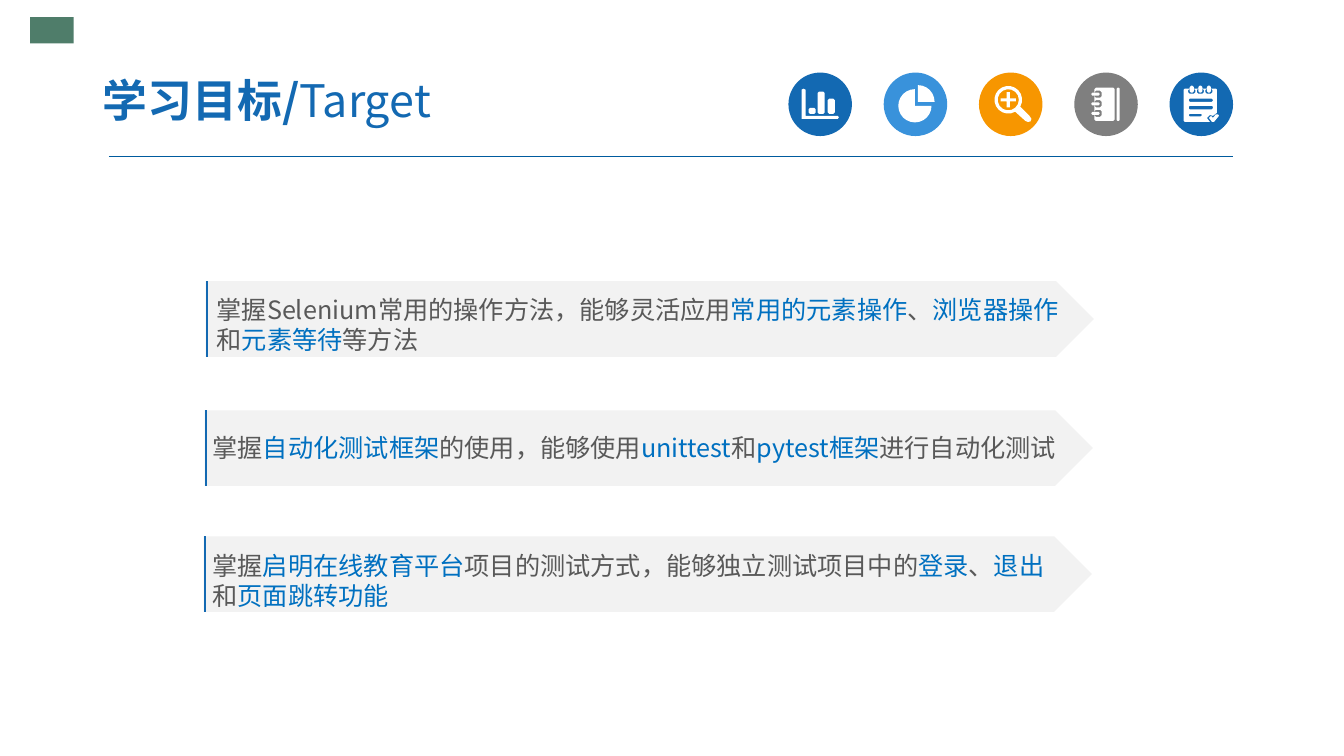
from dataclasses import dataclass
from math import cos, radians, sin
from lxml import etree
from pptx import Presentation
from pptx.dml.color import RGBColor
from pptx.enum.shapes import MSO_CONNECTOR, MSO_SHAPE
from pptx.enum.text import MSO_ANCHOR, MSO_AUTO_SIZE, PP_ALIGN
from pptx.oxml.ns import qn
from pptx.util import Inches, Pt

RECT, OVAL, ARROW = MSO_SHAPE.RECTANGLE, MSO_SHAPE.OVAL, MSO_SHAPE.PENTAGON
STRAIGHT, MIDDLE, LEFT = MSO_CONNECTOR.STRAIGHT, MSO_ANCHOR.MIDDLE, PP_ALIGN.LEFT
FIXED = MSO_AUTO_SIZE.NONE


@dataclass(frozen=True)
class Theme:
    font: str = "Noto Sans CJK SC"
    blue: str = "1369B2"
    sky: str = "3992DB"
    amber: str = "F79600"
    gray: str = "7F7F7F"
    green: str = "4F7D6A"
    rule: str = "005B9E"
    panel: str = "F2F2F2"
    white: str = "FFFFFF"
    body: str = "595959"
    key: str = "0070C0"
    title: int = 32
    text: int = 18
    lead: float = 21.6


THEME = Theme()

TITLE = [("学习目标/", True), ("Target", False)]

GOALS = [
    (2.04, 2.79, 2.05, 2.87, 8.65, 0.71,
     ["掌握Selenium常用的操作方法，能够灵活应用", "常用的元素操作", "、",
      "浏览器操作", "和", "元素等待", "等方法"]),
    (2.03, 4.07, 2.01, 4.24, 8.68, 0.4,
     ["掌握", "自动化测试框架", "的使用，能够使用", "unittest", "和",
      "pytest框架", "进行自动化测试"]),
    (2.02, 5.32, 2.01, 5.41, 8.68, 0.71,
     ["掌握", "启明在线教育平台", "项目的测试方式，能够独立测试项目中的",
      "登录", "、", "退出", "和", "页面跳转功能"]),
]


def arc(x, y, r, start=0, end=360):
    """Return points along an arc, in hundredths of an inch."""
    steps = max(1, round((end - start) * r / 250))
    turns = [radians(start + (end - start) * i / steps) for i in range(steps + 1)]
    return [(x + r * cos(t), y + r * sin(t)) for t in turns]


def bar(left, top, right, base, r=1.4):
    """Return the outline of a bar with soft corners."""
    return (arc(right - r, base - r, r, 0, 90) + arc(left + r, base - r, r, 90, 180)
            + arc(left + r, top + r, r, 180, 270) + arc(right - r, top + r, r, 270, 360))


def chart():
    """Return the outlines of the bar chart icon."""
    axis = [(13, 17), (15, 16), (17, 17), (17, 43), (49, 43), (50, 44.5), (49, 46), (13, 46)]
    return [axis] + [bar(x, y, x + 7, 41) for x, y in [(20, 35), (29, 19), (39, 26)]]


def pie():
    """Return the outlines of the pie icon."""
    return [arc(34, 29, 16.5, -90, 0) + [(34, 29)], arc(31, 33, 16.5, 0, 270) + [(31, 33)]]


def zoom():
    """Return the outlines of the magnifier icon."""
    x, y, far, near = 29, 27, 7.5, 1.5
    grip = [(50, 43), (52, 46), (51, 48.5), (48.5, 49), (46, 48)]
    plus = [(-near, -far), (near, -far), (near, -near), (far, -near), (far, near), (near, near),
            (near, far), (-near, far), (-near, near), (-far, near), (-far, -near), (-near, -near)]
    return [arc(x, y, 13.7, 60, 390) + grip, arc(x, y, 10.5), [(x + a, y + b) for a, b in plus]]


def book():
    """Return the outlines of the notebook icon."""
    rings = [part for y in (21.5, 31, 40.5)
             for part in (bar(20, y - 3.5, 27, y + 3.5), bar(17, y - 1.5, 25, y + 1.5, 1))]
    return [bar(42, 15, 45, 48, 1), bar(20, 15, 40, 48)] + rings


def notes():
    """Return the outlines of the checklist icon."""
    page = [(14, 17), (15, 16), (46, 16), (47, 17), (47, 40), (43, 43), (40, 42), (37, 45),
            (40, 49), (15, 49), (14, 48)]
    tick = [(39, 45), (41, 43), (43, 45), (46, 41.5), (48, 41.5), (49, 43), (44, 49), (42, 49)]
    rings = [part for x in (22, 30.5, 39)
             for part in (bar(x - 3.5, 16, x + 3.5, 21), bar(x - 2, 13, x + 2, 20))]
    lines = [bar(19, 26, 43, 29, 1), bar(19, 33, 43, 36.5, 1), bar(19, 41, 32, 43.5, 1)]
    return [page, tick] + rings + lines


ICONS = [(THEME.blue, chart), (THEME.sky, pie), (THEME.amber, zoom),
         (THEME.gray, book), (THEME.blue, notes)]


def paint(shape, tone):
    """Give a shape a plain fill."""
    shape.shadow.inherit = False
    shape.fill.solid()
    shape.fill.fore_color.rgb = RGBColor.from_string(tone)
    shape.line.fill.background()


def block(shapes, kind, box, tone):
    """Add a filled preset shape."""
    paint(shapes.add_shape(kind, *map(Inches, box)), tone)


def stroke(shapes, ends, tone, width):
    """Add a straight line."""
    line = shapes.add_connector(STRAIGHT, *map(Inches, ends))
    line.line.color.rgb = RGBColor.from_string(tone)
    line.line.width = Pt(width)
    etree.SubElement(line._element.spPr, qn("a:effectLst"))


def write(para, text, size, tone, bold=False):
    """Add one run of text."""
    run = para.add_run()
    run.text = text
    run.font.size, run.font.bold = Pt(size), bold
    run.font.color.rgb = RGBColor.from_string(tone)
    run.font.name = THEME.font
    etree.SubElement(run._r.get_or_add_rPr(), qn("a:ea"), typeface=THEME.font)


def draw_icon(shapes, left, tone, parts):
    """Add a disc with a white icon on it."""
    top, fine = 0.72, 100
    block(shapes, OVAL, (left, top, 0.63, 0.63), tone)
    pen = None
    for part in parts:
        dots = [(x * fine, y * fine) for x, y in part]
        if pen is None:
            pen = shapes.build_freeform(*dots[0], scale=Inches(0.01) / fine)
        else:
            pen.move_to(*dots[0])
        pen.add_line_segments(dots[1:], close=True)
    paint(pen.convert_to_shape(Inches(left), Inches(top)), THEME.white)


def draw_goal(shapes, left, top, *box, runs):
    """Add one goal with its arrow, edge and text."""
    high = 0.75
    block(shapes, ARROW, (left, top, 8.81, high), THEME.panel)
    stroke(shapes, (left + 0.01, top, left + 0.01, top + high), THEME.blue, 1.5)
    frame = shapes.add_textbox(*map(Inches, box)).text_frame
    frame.word_wrap = True
    para = frame.paragraphs[0]
    para.line_spacing = Pt(THEME.lead)
    for i, text in enumerate(runs):
        write(para, text, THEME.text, THEME.key if i % 2 else THEME.body)


def draw_title(title):
    """Place and fill the title."""
    title.left, title.top, title.width, title.height = map(Inches, (0.89, 0.63, 5.22, 0.72))
    frame = title.text_frame
    frame.auto_size, frame.word_wrap, frame.vertical_anchor = FIXED, True, MIDDLE
    frame.margin_left = frame.margin_right = Inches(0.13)
    frame.margin_top = frame.margin_bottom = Inches(0.07)
    para = frame.paragraphs[0]
    para.alignment = LEFT
    for text, bold in TITLE:
        write(para, text, THEME.title, THEME.blue, bold)


def main():
    """Build the slide and save it."""
    deck = Presentation()
    deck.slide_width, deck.slide_height = Inches(13.33), Inches(7.5)
    slide = deck.slides.add_slide(deck.slide_layouts[5])
    shapes = slide.shapes
    draw_title(shapes.title)
    block(shapes, RECT, (0.3, 0.17, 0.43, 0.26), THEME.green)
    stroke(shapes, (1.08, 1.55, 12.23, 1.55), THEME.rule, 0.75)
    for i, (tone, icon) in enumerate(ICONS):
        draw_icon(shapes, 7.82 + 0.945 * i, tone, icon())
    for *place, runs in GOALS:
        draw_goal(shapes, *place, runs=runs)
    deck.save("out.pptx")


if __name__ == "__main__":
    main()
